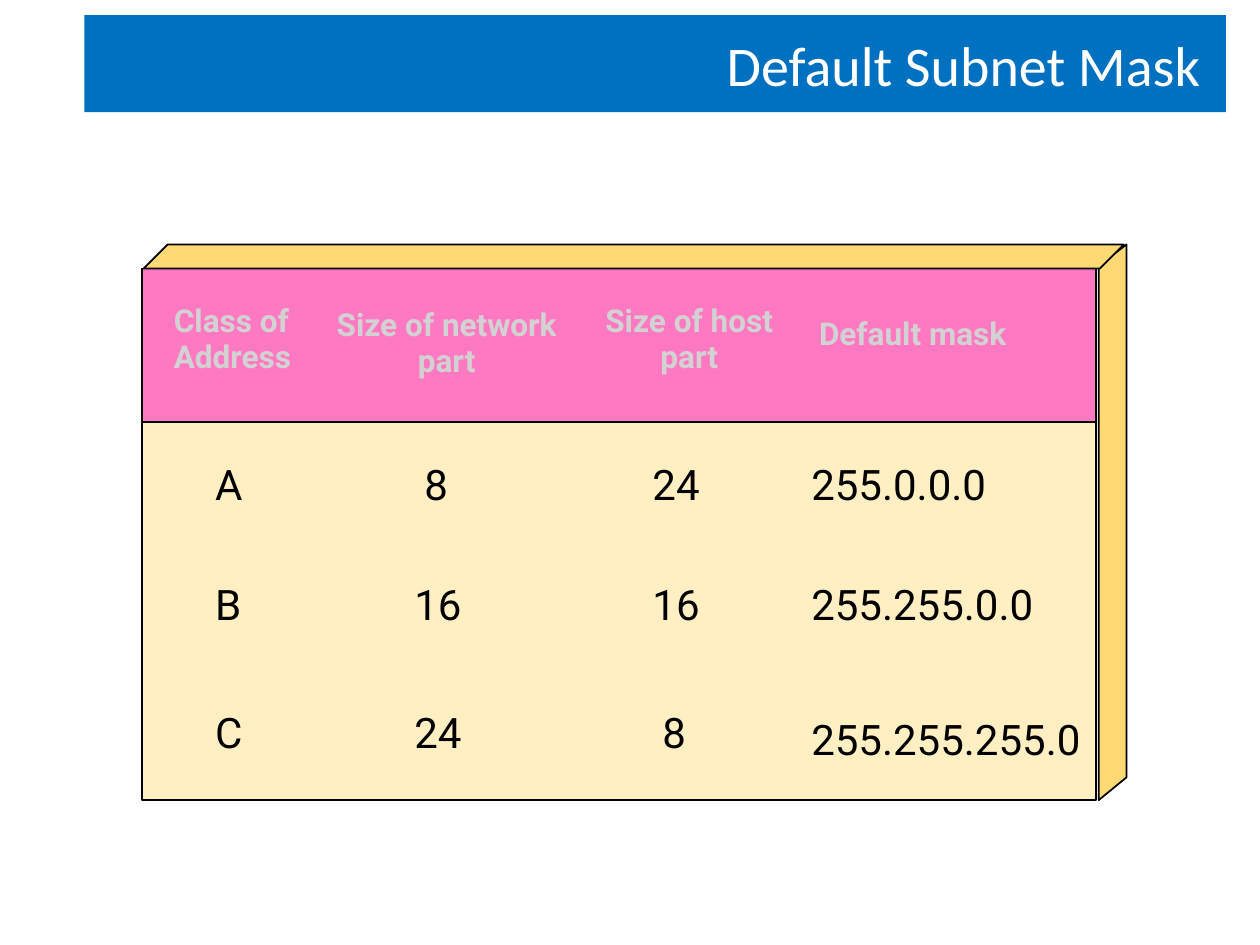
import pptx
import pptx.util
import pptx.dml.color
import pptx.enum.shapes
import pptx.enum.text

Inches, Pt = pptx.util.Inches, pptx.util.Pt
ALIGN = pptx.enum.text.PP_ALIGN
MIDDLE = pptx.enum.text.MSO_ANCHOR.MIDDLE
COLORS = {"title": "0070C0", "white": "FFFFFF", "body": "FFEFC2", "header": "FF79C2",
          "edge": "FFDA74", "label": "D2D2D2", "black": "000000"}


def rgb(name):
    """Return the named colour."""
    return pptx.dml.color.RGBColor.from_string(COLORS[name])


def paint(sp, fill, outlined=True):
    """Fill a shape and give it a thin black outline or none."""
    sp.shadow.inherit = False
    sp.fill.solid()
    sp.fill.fore_color.rgb = rgb(fill)
    if outlined:
        sp.line.color.rgb = rgb("black")
        sp.line.width = Pt(1)
    else:
        sp.line.fill.background()


def add_rect(s, x, y, w, h, fill, outlined=True):
    """Add a painted rectangle."""
    sp = s.shapes.add_shape(pptx.enum.shapes.MSO_SHAPE.RECTANGLE,
                            Inches(x), Inches(y), Inches(w), Inches(h))
    paint(sp, fill, outlined)
    return sp


def add_face(s, points):
    """Add a closed side face of the block."""
    corners = [(Inches(x), Inches(y)) for x, y in points]
    builder = s.shapes.build_freeform(*corners[0])
    builder.add_line_segments(corners[1:], close=True)
    paint(builder.convert_to_shape(), "edge")


def write(sp, text, size, color, font="Roboto", align=ALIGN.LEFT, bold=False):
    """Write one styled paragraph and return its text frame."""
    tf = sp.text_frame
    tf.word_wrap = True
    p = tf.paragraphs[0]
    p.text = text
    p.alignment = align
    p.font.name, p.font.size, p.font.bold = font, Pt(size), bold
    p.font.color.rgb = rgb(color)
    return tf


def add_text(s, x, y, w, h, *args, **style):
    """Add a text box and return its text frame."""
    sp = s.shapes.add_textbox(Inches(x), Inches(y), Inches(w), Inches(h))
    return write(sp, *args, **style)


def add_title(s, x, y, w, h):
    """Draw the title bar."""
    sp = add_rect(s, x, y, w, h, "title", outlined=False)
    tf = write(sp, "Default Subnet Mask", 32, "white", font="Calibri", align=ALIGN.RIGHT)
    tf.vertical_anchor = MIDDLE
    tf.margin_right = Inches(0.2)


def add_block(s, x, y, w, h):
    """Draw the table's block with its header band, right face and top face."""
    depth, rise, header_h = 0.22, 0.19, 1.22
    right, bottom = x + w, y + h
    add_rect(s, x, y + 0.14, w, h - 0.14, "body")
    add_rect(s, x, y, w, header_h, "header")
    side = right + 0.02
    add_face(s, [(side + depth, y - rise), (side, y - 0.02), (side, bottom),
                 (side + depth, bottom - 0.18)])
    left = x + 0.01
    add_face(s, [(left, y), (left + rise, y - rise), (side + 0.2, y - rise),
                 (side + 0.01, y)])


def add_headers(s, x, y):
    """Write the column headings."""
    headers = [("Class of Address", 0.25, 0.28, 1.17, 0.57, ALIGN.LEFT),
               ("Size of network part", 1.51, 0.31, 1.81, 0.57, ALIGN.CENTER),
               ("Size of host part", 3.63, 0.28, 1.42, 0.57, ALIGN.CENTER),
               ("Default mask", 5.37, 0.39, 1.89, 0.28, ALIGN.LEFT)]
    for text, dx, dy, w, h, align in headers:
        tf = add_text(s, x + dx, y + dy, w, h, text, 18, "label", align=align, bold=True)
        tf.vertical_anchor = MIDDLE
        tf.margin_left = tf.margin_right = tf.margin_top = tf.margin_bottom = 0
        tf.paragraphs[0].line_spacing = 0.95


def add_rows(s, x, y):
    """Write the class rows, with single digits centred under two-digit sizes."""
    columns = [(0.48, 0.55), (2.06, 0.71), (3.95, 0.71), (5.21, 2.91)]
    rows = [(1.46, ("A", "8", "24", "255.0.0.0")),
            (2.41, ("B", "16", "16", "255.255.0.0")),
            (3.43, ("C", "24", "8", "255.255.255.0"))]
    for dy, values in rows:
        for (dx, w), text in zip(columns, values):
            indent = 0.08 if text == "8" else 0
            drop = 0.05 if text == "255.255.255.0" else 0
            add_text(s, x + dx + indent, y + dy + drop, w - indent, 0.5, text, 24, "black")


def main():
    """Build the slide and save it."""
    prs = pptx.Presentation()
    prs.slide_width, prs.slide_height = Inches(10), Inches(7.5)
    s = prs.slides.add_slide(prs.slide_layouts[6])
    add_title(s, 0.67, 0.12, 9.06, 0.77)
    x, y = 1.13, 2.13
    add_block(s, x, y, 7.57, 4.22)
    add_headers(s, x, y)
    add_rows(s, x, y)
    prs.save("out.pptx")


if __name__ == "__main__":
    main()
